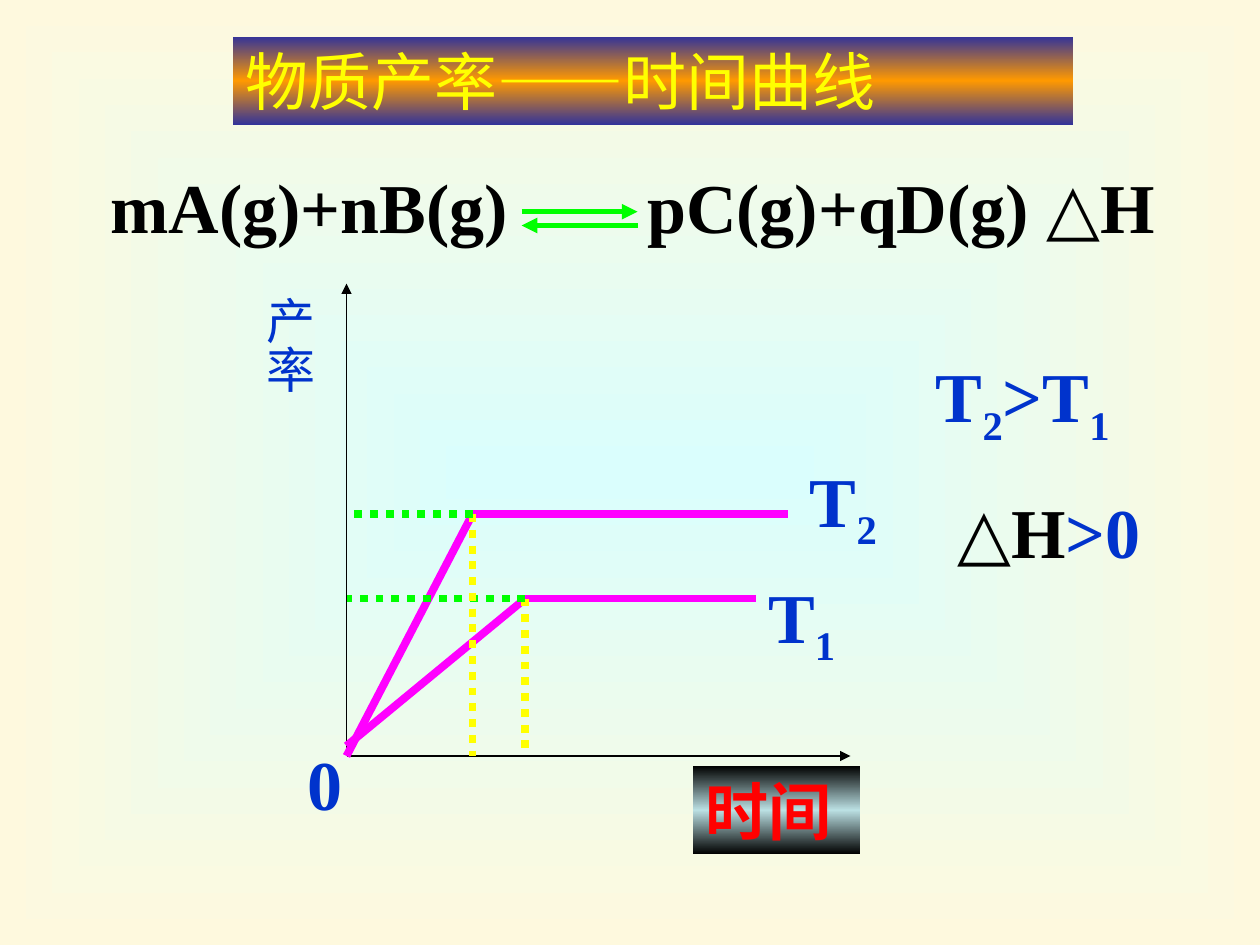
import pptx
import pptx.dml.color
import pptx.enum.dml
import pptx.enum.shapes
import pptx.enum.text
import pptx.oxml.ns
import pptx.oxml.xmlchemy
import pptx.util
from copy import deepcopy

Inches = pptx.util.Inches
qn = pptx.oxml.ns.qn
OxmlElement = pptx.oxml.xmlchemy.OxmlElement

BLACK, BLUE, RED = "000000", "0033CC", "FF0000"
YELLOW, GREEN, MAGENTA = "FFFF00", "00FF00", "FF00FF"


def rgb(value):
    return pptx.dml.color.RGBColor.from_string(value)


class SlideBuilder:
    """Holds the text style and the current slide."""

    font = "Times New Roman"

    def __init__(self, page):
        self.page = page

    def gradient(self, fill, owner, stops):
        """Apply a gradient of (percent, colour) stops and return its element."""
        fill.gradient()
        grad = owner.find(".//" + qn("a:gradFill"))
        stop_list = grad.find(qn("a:gsLst"))
        while len(stop_list) < len(stops):
            stop_list.append(deepcopy(stop_list[0]))
        for stop, (position, color) in zip(fill.gradient_stops, stops):
            stop.position = position / 100
            stop.color.rgb = rgb(color)
        return grad

    def background(self, inner, outer):
        grad = self.gradient(self.page.background.fill, self.page._element,
                             [(0, inner), (100, outer)])
        grad.remove(grad.find(qn("a:lin")))
        shade = OxmlElement("a:path")
        shade.set("path", "rect")
        center = OxmlElement("a:fillToRect")
        for side in "ltrb":
            center.set(side, "50000")
        shade.append(center)
        grad.append(shade)

    def band(self, box, edge, middle):
        """Fill a box with a vertical gradient, the same at top and bottom."""
        self.gradient(box.fill, box._element, [(0, edge), (50, middle), (100, edge)])
        box.fill.gradient_angle = 90

    def put_text(self, box, spans, size, bold=True, wrap=True):
        """Set (text, colour, is_subscript) spans as one paragraph."""
        frame = box.text_frame
        frame.word_wrap = wrap
        frame.auto_size = pptx.enum.text.MSO_AUTO_SIZE.NONE
        frame.vertical_anchor = pptx.enum.text.MSO_ANCHOR.TOP
        para = frame.paragraphs[0]
        para.alignment = pptx.enum.text.PP_ALIGN.LEFT
        for text, color, subscript in spans:
            span = para.add_run()
            span.text = text
            span.font.name = self.font
            span.font.size = pptx.util.Pt(size)
            span.font.bold = bold
            span.font.color.rgb = rgb(color)
            if subscript:
                span.font._element.set("baseline", "-25000")

    def title(self, text, place, size, color):
        box = self.page.shapes.title
        box.left, box.top, box.width, box.height = map(Inches, place)
        self.put_text(box, [(text, color, False)], size, bold=False)
        return box

    def text(self, spans, place, size=40, bold=True, wrap=True):
        box = self.page.shapes.add_textbox(*map(Inches, place))
        self.put_text(box, spans, size, bold, wrap)
        return box

    def panel(self, text, place, size, color):
        box = self.page.shapes.add_shape(
            pptx.enum.shapes.MSO_SHAPE.RECTANGLE, *map(Inches, place))
        box.shadow.inherit = False
        box.line.fill.background()
        self.put_text(box, [(text, color, False)], size)
        return box

    def line(self, start, end, color, width=4.5, arrow=False, dotted=False):
        line = self.page.shapes.add_connector(
            pptx.enum.shapes.MSO_CONNECTOR.STRAIGHT, *map(Inches, start + end))
        line.line.color.rgb = rgb(color)
        line.line.width = pptx.util.Pt(width)
        if dotted:
            line.line.dash_style = pptx.enum.dml.MSO_LINE.ROUND_DOT
        if arrow:
            tail = OxmlElement("a:tailEnd")
            tail.set("type", "triangle")
            line.line._get_or_add_ln().append(tail)
        line._element.spPr.append(OxmlElement("a:effectLst"))


def main():
    deck = pptx.Presentation()
    deck.slide_width, deck.slide_height = Inches(10), Inches(7.5)
    builder = SlideBuilder(deck.slides.add_slide(deck.slide_layouts[5]))
    builder.background("DAFEFD", "FEF9DE")

    # Title band
    title = builder.title("物质产率——时间曲线", (1.85, 0.29, 6.67, 0.7), 36, YELLOW)
    builder.band(title, "333399", "FF9900")

    # Axes
    origin_x, origin_y = 2.75, 6
    for end in ((origin_x, 2.25), (6.75, origin_y)):
        builder.line((origin_x, origin_y), end, BLACK, 0.75, arrow=True)

    # Yield curves: start height, turning point, end of the plateau
    curves = [(5.92, (4.17, 4.75), 6), (origin_y, (3.75, 4.08), 6.25)]
    for start_y, turn, end_x in curves:
        builder.line(turn, (end_x, turn[1]), MAGENTA)
        builder.line((origin_x, start_y), turn, MAGENTA)

    # Guides from each turning point to the axes
    for _, turn, _ in curves:
        builder.line(turn, (turn[0], origin_y), YELLOW, dotted=True)
        builder.line(turn, (origin_x, turn[1]), GREEN, dotted=True)

    # Reaction equation, with a tab stop leaving room for the arrows
    equation = builder.text([("mA(g)+nB(g)\tpC(g)+qD(g) △H", BLACK, False)],
                            (0.78, 1.25, 9, 0.77))
    tabs = OxmlElement("a:tabLst")
    tab = OxmlElement("a:tab")
    tab.set("pos", str(Inches(4.26)))
    tab.set("algn", "l")
    tabs.append(tab)
    equation.text_frame.paragraphs[0]._p.get_or_add_pPr().append(tabs)
    builder.line((4.14, 1.68), (5.06, 1.68), GREEN, 3, arrow=True)
    builder.line((5.06, 1.79), (4.14, 1.79), GREEN, 3, arrow=True)

    # Axis labels
    time_label = builder.panel("时间", (5.5, 6.08, 1.33, 0.7), 36, RED)
    builder.band(time_label, BLACK, "BBE0E3")
    yield_label = builder.text([("产率", BLUE, False)], (1.92, 2.25, 0.66, 0.88),
                               28, bold=False, wrap=False)
    frame = yield_label.text_frame
    frame._txBody.bodyPr.set("vert", "eaVert")
    frame.margin_left = frame.margin_right = Inches(0.05)
    frame.margin_top = frame.margin_bottom = Inches(0.1)
    builder.text([("0", BLUE, False)], (2.34, 5.83, 0.48, 0.77), wrap=False)

    # Curve labels
    for number, left, top in (("1", 6, 4.5), ("2", 6.33, 3.58)):
        builder.text([("T", BLUE, False), (number, BLUE, True)], (left, top, 1, 0.86))

    # Conclusions
    builder.text([("T", BLUE, False), ("2", BLUE, True),
                  (">T", BLUE, False), ("1", BLUE, True)], (7.33, 2.75, 2.67, 0.86))
    builder.text([("△H", BLACK, False), (">0", BLUE, False)], (7.5, 3.83, 2.5, 0.77))

    deck.save("out.pptx")


if __name__ == "__main__":
    main()
